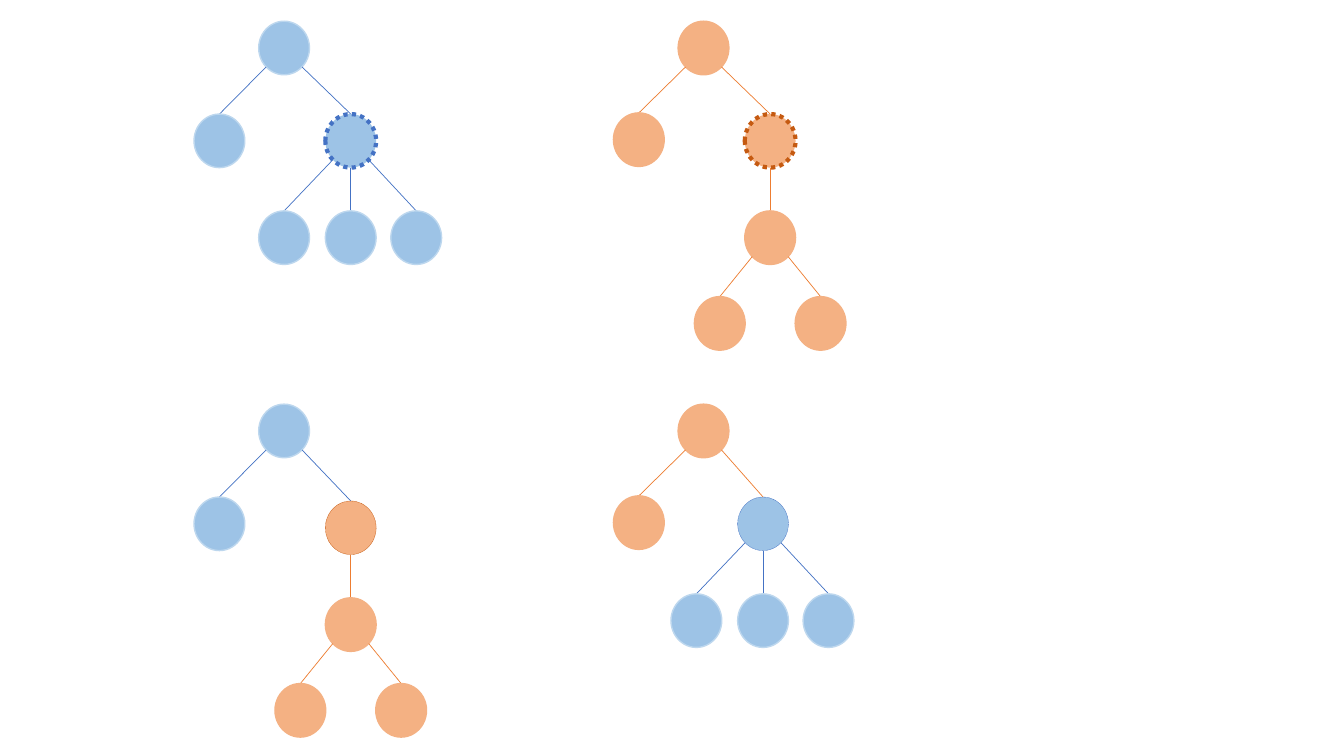
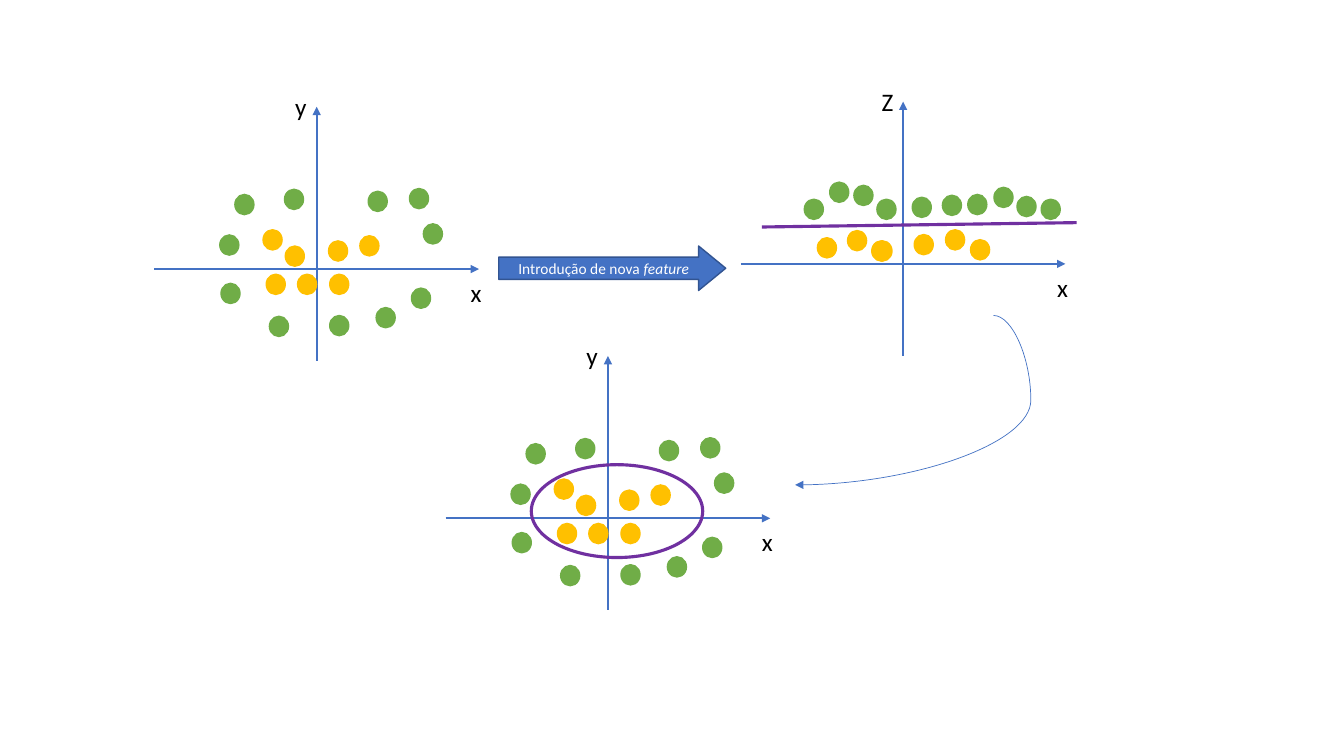
from dataclasses import dataclass
from math import sqrt

from lxml import etree
from pptx import Presentation
from pptx import util as u
from pptx.dml import color
from pptx.enum import dml, shapes, text
from pptx.oxml import ns


@dataclass(frozen=True)
class Theme:
    font: str = "Calibri"
    label: float = 18
    note: float = 11
    ink: str = "000000"
    white: str = "FFFFFF"
    blue: str = "4472C4"
    navy: str = "325491"
    sky: str = "9DC3E6"
    pale: str = "BDD7EE"
    rust: str = "C55A11"
    orange: str = "ED7D31"
    peach: str = "F4B183"
    gold: str = "FFC000"
    green: str = "70AD47"
    purple: str = "7030A0"


T = Theme()
NODE = (1.28, 1.35)
DOT = (0.48, 0.51)
KINDS = {
    "blue": (T.sky, T.pale, T.blue, T.blue),
    "warm": (T.peach, T.peach, T.orange, T.rust),
}


def write(para, words, size=T.label, tint=T.ink, italic=None):
    run = para.add_run()
    run.text = words
    font = run.font
    font.name, font.size, font.italic = T.font, u.Pt(size), italic
    font.color.rgb = color.RGBColor.from_string(tint)


class Deck:
    def __init__(self):
        self.file = Presentation()
        self.file.slide_width = u.Cm(33.87)
        self.file.slide_height = u.Cm(19.05)
        self.slide = None

    def page(self):
        self.slide = self.file.slides.add_slide(self.file.slide_layouts[6])

    def stroke(self, line, tint, width, dash=None):
        line.color.rgb = color.RGBColor.from_string(tint)
        line.width = u.Pt(width)
        if dash:
            line.dash_style = dash

    def shape(self, kind, box, fill, edge, width=1, dash=None):
        item = self.slide.shapes.add_shape(kind, *map(u.Cm, box))
        item.shadow.inherit = False
        if fill:
            item.fill.solid()
            item.fill.fore_color.rgb = color.RGBColor.from_string(fill)
        else:
            item.fill.background()
        self.stroke(item.line, edge, width, dash)
        return item

    def oval(self, *args, **style):
        return self.shape(shapes.MSO_SHAPE.OVAL, *args, **style)

    def line(self, start, end, tint, width, head=False, bend=None):
        kinds = shapes.MSO_CONNECTOR
        kind = kinds.STRAIGHT if bend is None else kinds.CURVE
        item = self.slide.shapes.add_connector(kind, *map(u.Cm, (*start, *end)))
        self.stroke(item.line, tint, width)
        props = item._element.spPr
        if head:
            etree.SubElement(item.line._ln, ns.qn("a:tailEnd"), type="triangle")
        if bend is not None:
            guides = props.find(ns.qn("a:prstGeom")).get_or_add_avLst()
            etree.SubElement(guides, ns.qn("a:gd"), name="adj1", fmla=f"val {bend}")
        etree.SubElement(props, ns.qn("a:effectLst"))

    def label(self, words, x, y):
        box = self.slide.shapes.add_textbox(*map(u.Cm, (x, y, 0.78, 1.03)))
        box.text_frame.word_wrap = False
        write(box.text_frame.paragraphs[0], words)

    def banner(self, box, parts):
        item = self.shape(shapes.MSO_SHAPE.RIGHT_ARROW, box, T.blue, T.navy)
        item.adjustments[1] = 0.61
        frame = item.text_frame
        frame.word_wrap = True
        frame.vertical_anchor = text.MSO_ANCHOR.MIDDLE
        para = frame.paragraphs[0]
        para.alignment = text.PP_ALIGN.CENTER
        for words, italic in parts:
            write(para, words, size=T.note, tint=T.white, italic=italic)

    def tree(self, x, y, node, dotted):
        kind, mark, kids = node
        fill, edge, link, accent = KINDS[kind]
        w, h = NODE
        box = (x - w / 2, y - h / 2, w, h)
        if mark:
            self.oval(box, fill, accent, width=dotted, dash=dml.MSO_LINE.ROUND_DOT)
        else:
            self.oval(box, fill, edge)
        for dx, dy, kid in kids:
            side = (dx > 0) - (dx < 0)
            reach = sqrt(0.5) if side else 1
            start = (x + side * reach * w / 2, y + reach * h / 2)
            self.line(start, (x + dx, y + dy - h / 2), link, 0.5)
            self.tree(x + dx, y + dy, kid, dotted)

    def plot(self, x, y, name, inner, outer):
        self.line((x, y + 2.31), (x, y - 4.09), T.blue, 1.5, head=True)
        self.line((x - 4.09, y), (x + 4.09, y), T.blue, 1.5, head=True)
        self.label("x", x + 3.63, y + 0.08)
        self.label(name, x - 0.79, y - 4.6)
        for tint, dots in ((T.gold, inner), (T.green, outer)):
            for dx, dy in dots:
                self.oval((x + dx, y + dy, *DOT), tint, tint)


def leaf(kind):
    return kind, False, []


FAN = ("blue", True, [(dx, 2.44, leaf("blue")) for dx in (-1.68, 0, 1.65)])
FORK = ("warm", False, [(dx, 2.16, leaf("warm")) for dx in (-1.27, 1.27)])
STEM = ("warm", True, [(0, 2.44, FORK)])


def root(kind, drop, dx, dy, branch):
    return kind, False, [(-1.63, drop, leaf(kind)), (dx, dy, branch)]


RING_IN = [(0.3, -0.71), (0.33, 0.13), (-0.79, -0.58), (-0.48, 0.13),
           (-1.35, -0.99), (1.09, -0.84), (-1.27, 0.13)]
RING_OUT = [(2.34, -2.03), (2.69, -1.14), (2.39, 0.48), (1.5, 0.97),
            (1.3, -1.96), (-0.81, -2.01), (-1.19, 1.19), (-2.06, -1.88),
            (-2.44, -0.86), (-2.41, 0.36), (0.33, 1.17)]
LOW = [(0.28, -0.74), (1.7, -0.61), (-0.79, -0.58), (-0.76, -0.58),
       (-1.4, -0.84), (1.07, -0.86), (-2.16, -0.66)]
HIGH = [(2.29, -1.93), (3.48, -1.63), (2.87, -1.7), (1.63, -1.75),
        (0.99, -1.73), (-0.66, -1.63), (0.23, -1.68), (-1.85, -2.06),
        (-2.49, -1.63), (-1.24, -1.98)]


def swap(deck):
    deck.page()
    left, right, top, low = 7.16, 17.73, 1.21, 10.86
    deck.tree(left, top, root("blue", 2.34, 1.68, 2.34, FAN), 3)
    deck.tree(right, top, root("warm", 2.31, 1.68, 2.34, STEM), 3)
    deck.tree(left, low, root("blue", 2.34, 1.68, 2.44, STEM), 0.25)
    deck.tree(right, low, root("warm", 2.31, 1.5, 2.34, FAN), 0.25)


def kernel(deck):
    deck.page()
    deck.plot(7.98, 6.78, "y", RING_IN, RING_OUT)
    deck.plot(22.76, 6.65, "Z", LOW, HIGH)
    deck.banner((12.57, 6.2, 5.72, 1.12),
                [("Introdução de nova ", None), ("feature ", True)])
    deck.line((19.2, 5.72), (27.13, 5.61), T.purple, 2.25)
    deck.plot(15.32, 13.06, "y", RING_IN, RING_OUT)
    deck.oval((13.39, 11.71, 4.32, 2.34), None, T.purple, width=2.25)
    deck.line((25.04, 7.95), (20.04, 12.22), T.blue, 0.5, head=True, bend=-18800)


def main():
    deck = Deck()
    swap(deck)
    kernel(deck)
    deck.file.save("out.pptx")


if __name__ == "__main__":
    main()
